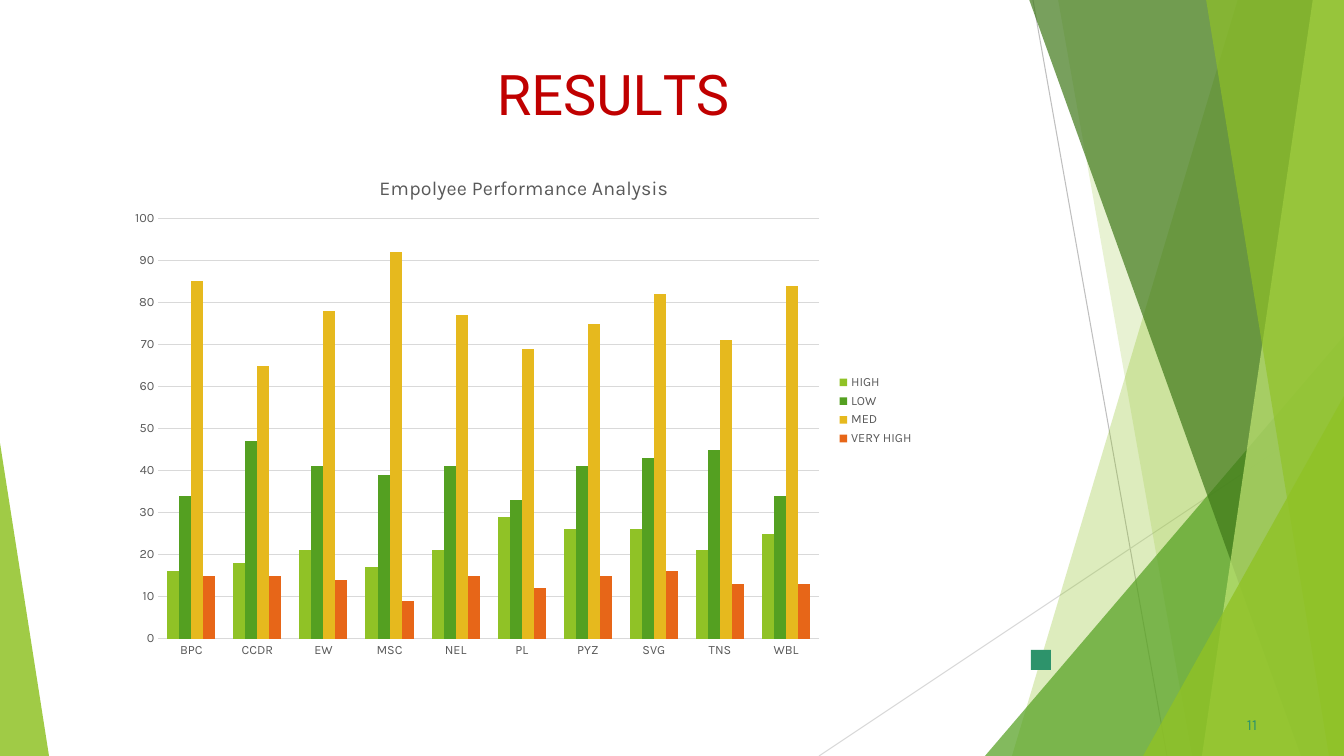
from dataclasses import dataclass

import pptx
import pptx.chart.data
import pptx.dml.color
import pptx.enum.chart
import pptx.enum.shapes
import pptx.oxml.ns
import pptx.oxml.xmlchemy
import pptx.util

EMU_PER_PX = 914400 / 100.8
WIDTH, HEIGHT = 1344, 756
TOP = -1
COLORS = {
    "lime": "90C226", "green": "54A021", "forest": "3F7819", "pale": "C0E474",
    "gold": "E6B91E", "orange": "E76618", "teal": "2D936B", "red": "C00000",
    "text": "595959", "grid": "D9D9D9", "ray": "BFBFBF",
}


@dataclass(frozen=True)
class Facet:
    """Translucent panel reaching the right edge, with a slanted left side."""
    top_left: int
    bottom_left: int
    color: str
    opacity: int


@dataclass(frozen=True)
class Wedge:
    """Translucent right triangle standing on the bottom edge."""
    left: int
    top: int
    width: int
    apex: int
    color: str
    opacity: int


@dataclass(frozen=True)
class Ray:
    start: tuple[int, int]
    end: tuple[int, int]
    color: str


@dataclass(frozen=True)
class Series:
    name: str
    values: tuple[int, ...]
    color: str


RAYS = (
    Ray((1033, 0), (1167, HEIGHT), "ray"),
    Ray((WIDTH, 406), (819, HEIGHT), "grid"),
)
PANELS = (
    Facet(1238, 1012, "lime", 30),
    Facet(1058, 1192, "lime", 20),
    Wedge(985, 336, 359, 1, "green", 72),
    Facet(1029, 1301, "forest", 70),
    Facet(1313, 1202, "pale", 70),
    Facet(1206, 1329, "lime", 65),
    Wedge(1143, 396, 201, 1, "lime", 80),
    Wedge(0, 443, 49, 0, "lime", 85),
)
CATEGORIES = ("BPC", "CCDR", "EW", "MSC", "NEL", "PL", "PYZ", "SVG", "TNS", "WBL")
SERIES = (
    Series("HIGH", (16, 18, 21, 17, 21, 29, 26, 26, 21, 25), "lime"),
    Series("LOW", (34, 47, 41, 39, 41, 33, 41, 43, 45, 34), "green"),
    Series("MED", (85, 65, 78, 92, 77, 69, 75, 82, 71, 84), "gold"),
    Series("VERY HIGH", (15, 15, 14, 9, 15, 12, 15, 16, 13, 13), "orange"),
)


def px(length: float) -> pptx.util.Emu:
    return pptx.util.Emu(round(length * EMU_PER_PX))


def rgb(name: str) -> pptx.dml.color.RGBColor:
    return pptx.dml.color.RGBColor.from_string(COLORS[name])


def style_font(font, size: float, color: str, name: str = "Karla") -> None:
    font.size = pptx.util.Pt(size)
    font.color.rgb = rgb(color)
    font.name = name
    font.bold = False


def style_shape(shape, color: str, opacity: int = 100) -> None:
    shape.shadow.inherit = False
    shape.line.fill.background()
    shape.fill.solid()
    shape.fill.fore_color.rgb = rgb(color)
    if opacity < 100:
        fill = shape._element.spPr.find(pptx.oxml.ns.qn("a:solidFill"))
        alpha = pptx.oxml.xmlchemy.OxmlElement("a:alpha")
        alpha.set("val", str(opacity * 1000))
        fill[0].append(alpha)


def add_ray(slide, ray: Ray) -> None:
    line = slide.shapes.add_connector(
        pptx.enum.shapes.MSO_CONNECTOR.STRAIGHT,
        *map(px, ray.start + ray.end),
    )
    line.line.color.rgb = rgb(ray.color)
    line.line.width = pptx.util.Pt(0.75)
    line._element.spPr.append(pptx.oxml.xmlchemy.OxmlElement("a:effectLst"))


def add_panel(slide, panel: Facet | Wedge) -> None:
    if isinstance(panel, Facet):
        builder = slide.shapes.build_freeform(panel.top_left, TOP, scale=EMU_PER_PX)
        builder.add_line_segments(
            [(WIDTH, TOP), (WIDTH, HEIGHT), (panel.bottom_left, HEIGHT)], close=True
        )
        shape = builder.convert_to_shape()
    else:
        shape = slide.shapes.add_shape(
            pptx.enum.shapes.MSO_SHAPE.ISOSCELES_TRIANGLE,
            px(panel.left), px(panel.top), px(panel.width), px(HEIGHT - panel.top),
        )
        shape.adjustments[0] = panel.apex
    style_shape(shape, panel.color, panel.opacity)


def add_text(slide, runs: tuple[tuple[str, float], ...], *, box: tuple[int, ...],
             size: float, color: str, font: str, indent: int, before: float) -> None:
    """Add one line of text; each run is a text and its letter spacing in points."""
    frame = slide.shapes.add_textbox(*map(px, box)).text_frame
    frame.word_wrap = True
    frame.margin_left = frame.margin_right = frame.margin_bottom = 0
    frame.margin_top = px(1)
    paragraph = frame.paragraphs[0]
    paragraph.space_before = pptx.util.Pt(before)
    paragraph._p.get_or_add_pPr().set("marL", str(px(indent)))
    for text, spacing in runs:
        run = paragraph.add_run()
        run.text = text
        style_font(run.font, size, color, font)
        run._r.get_or_add_rPr().set("spc", str(round(spacing * 100)))


def place(parent, **fractions: float) -> None:
    """Set a manual layout, in fractions of the chart, on a title or plot area."""
    for old in parent.findall(pptx.oxml.ns.qn("c:layout")):
        parent.remove(old)
    layout = pptx.oxml.xmlchemy.OxmlElement("c:layout")
    manual = pptx.oxml.xmlchemy.OxmlElement("c:manualLayout")
    layout.append(manual)
    settings = {"xMode": "edge", "yMode": "edge", **fractions}
    if "w" in fractions:
        settings = {"layoutTarget": "inner", **settings}
    for tag, value in settings.items():
        item = pptx.oxml.xmlchemy.OxmlElement(f"c:{tag}")
        item.set("val", str(value))
        manual.append(item)
    text = parent.find(pptx.oxml.ns.qn("c:tx"))
    parent.insert(0 if text is None else 1, layout)


def add_performance_chart(slide) -> None:
    data = pptx.chart.data.CategoryChartData()
    data.categories = CATEGORIES
    for series in SERIES:
        data.add_series(series.name, series.values)
    chart = slide.shapes.add_chart(
        pptx.enum.chart.XL_CHART_TYPE.COLUMN_CLUSTERED,
        px(118), px(151), px(806), px(519), data,
    ).chart
    style_font(chart.font, 10, "text")

    title = chart.chart_title
    title.text_frame.text = "Empolyee Performance Analysis"
    style_font(title.text_frame.paragraphs[0].runs[0].font, 14, "text")
    place(title._element, x=0.32, y=0.04)

    plot = chart.plots[0]
    plot.gap_width = 150
    plot.overlap = 0
    plot.vary_by_categories = False
    place(chart._chartSpace.chart.plotArea, x=0.05, y=0.13, w=0.82, h=0.81)
    for drawn, series in zip(plot.series, SERIES):
        drawn.format.fill.solid()
        drawn.format.fill.fore_color.rgb = rgb(series.color)

    for axis in (chart.category_axis, chart.value_axis):
        axis.major_tick_mark = pptx.enum.chart.XL_TICK_MARK.NONE
        axis.format.line.fill.background()
        style_font(axis.tick_labels.font, 9, "text")
    values = chart.value_axis
    values.minimum_scale, values.maximum_scale, values.major_unit = 0, 100, 10
    values.major_gridlines.format.line.color.rgb = rgb("grid")
    values.major_gridlines.format.line.width = pptx.util.Pt(0.75)

    chart.has_legend = True
    chart.legend.position = pptx.enum.chart.XL_LEGEND_POSITION.RIGHT
    chart.legend.include_in_layout = False
    style_font(chart.legend.font, 9, "text")


def main() -> None:
    presentation = pptx.Presentation()
    presentation.slide_width, presentation.slide_height = px(WIDTH), px(HEIGHT)
    slide = presentation.slides.add_slide(presentation.slide_layouts[6])
    for ray in RAYS:
        add_ray(slide, ray)
    for panel in PANELS:
        add_panel(slide, panel)
    square = slide.shapes.add_shape(
        pptx.enum.shapes.MSO_SHAPE.RECTANGLE, px(1031), px(650), px(20), px(20)
    )
    style_shape(square, "teal")
    add_text(slide, (("RESU", 0), ("L", -4), ("TS", 0)), box=(496, 58, 345, 69),
             size=40, color="red", font="Roboto", indent=1, before=1.1)
    add_text(slide, (("11", 0.1),), box=(1243, 714, 25, 21),
             size=11, color="teal", font="Karla", indent=4, before=0.6)
    add_performance_chart(slide)
    presentation.save("out.pptx")


if __name__ == "__main__":
    main()
